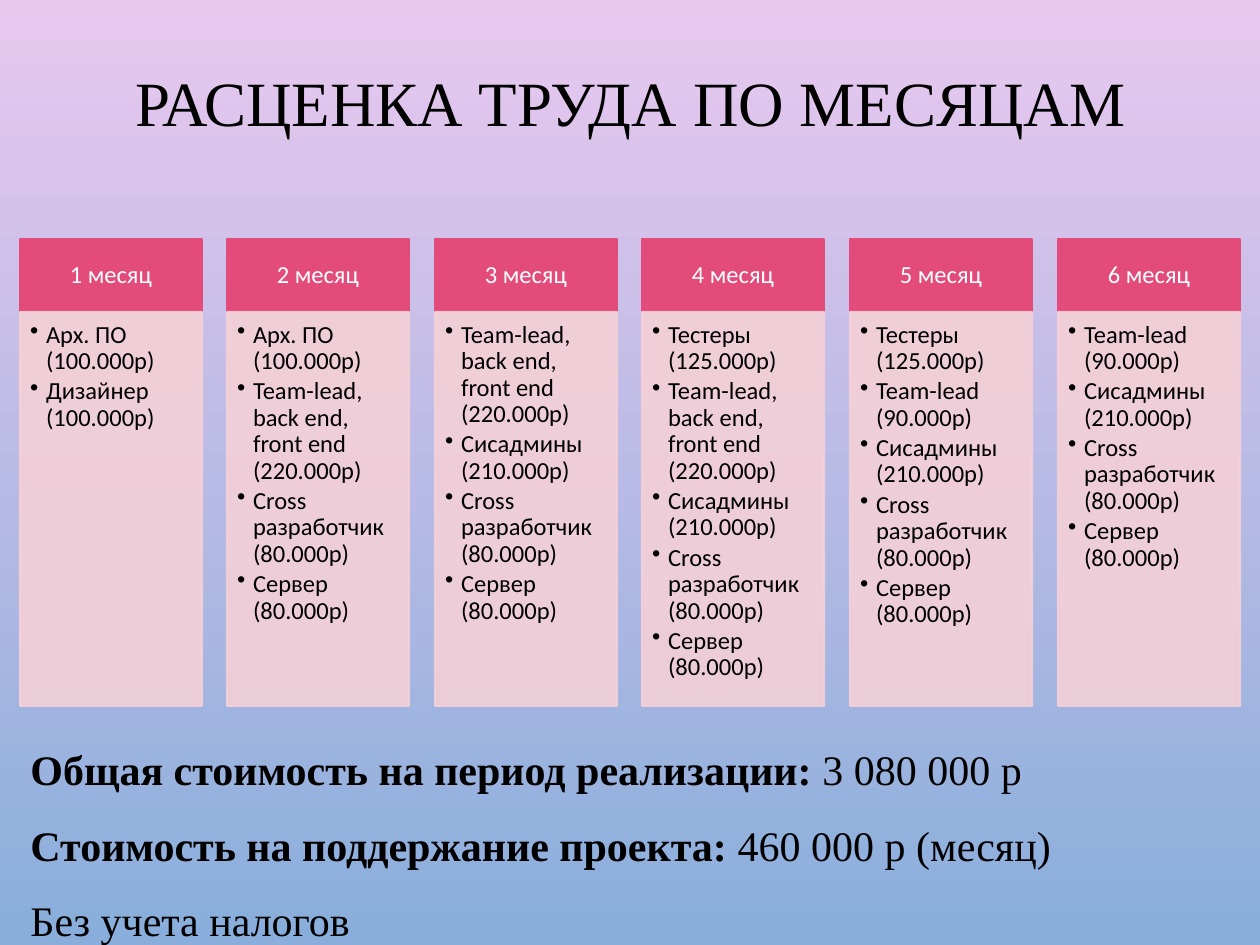
from lxml import etree
from pptx import Presentation, util as u
from pptx.dml.color import RGBColor
from pptx.enum import shapes, text
from pptx.oxml.ns import qn

PX = 7257  # EMU per px at 126 px to the inch
COLORS = {"top": "E9C8EF", "bottom": "89AEDB", "head": "E34B7A",
          "body": "F4D0D7", "white": "FFFFFF", "black": "000000"}
SERIF, SANS = "Times New Roman", "Calibri"

ARCH = "Арх. ПО (100.000р)"
DESIGN = "Дизайнер (100.000р)"
TEAM = "Team-lead, back end, front end (220.000р)"
LEAD = "Team-lead (90.000р)"
TEST = "Тестеры (125.000р)"
ADMIN = "Сисадмины (210.000р)"
CROSS = "Cross разработчик (80.000р)"
SERVER = "Сервер (80.000р)"
MONTHS = [
    [ARCH, DESIGN],
    [ARCH, TEAM, CROSS, SERVER],
    [TEAM, ADMIN, CROSS, SERVER],
    [TEST, TEAM, ADMIN, CROSS, SERVER],
    [TEST, LEAD, ADMIN, CROSS, SERVER],
    [LEAD, ADMIN, CROSS, SERVER],
]
TOTALS = [
    ("Общая стоимость на период реализации: ", "3 080 000 р"),
    ("Стоимость на поддержание проекта: ", "460 000 р (месяц)"),
    ("", "Без учета налогов"),
]


def add_run(p, words, name, size, color, bold=False):
    r = p.add_run()
    r.text = words
    for key, value in {"name": name, "size": u.Pt(size), "bold": bold}.items():
        setattr(r.font, key, value)
    r.font.color.rgb = RGBColor.from_string(COLORS[color])


def add_box(x, y, w, h, color, anchor, insets, alpha=None):
    sp = s.shapes.add_shape(shapes.MSO_SHAPE.RECTANGLE, x * PX, y * PX, w * PX, h * PX)
    sp.shadow.inherit = False
    sp.line.width = u.Pt(1.25)
    for fill in (sp.fill, sp.line.fill):
        fill.solid()
        fill.fore_color.rgb = RGBColor.from_string(COLORS[color])
    if alpha:
        for clr in sp._element.spPr.iter(qn("a:srgbClr")):
            etree.SubElement(clr, qn("a:alpha")).set("val", str(alpha * 1000))
    tf = sp.text_frame
    tf.word_wrap = True
    tf.vertical_anchor = anchor
    for side, inset in zip(("left", "top", "right", "bottom"), insets):
        setattr(tf, f"margin_{side}", inset * PX)
    return tf


prs = Presentation()
prs.slide_width, prs.slide_height = 1260 * PX, 945 * PX
s = prs.slides.add_slide(prs.slide_layouts[5])

# Background gradient, top to bottom
bg = s.background.fill
bg.gradient()
bg.gradient_angle = 270
for stop, position, key in zip(bg.gradient_stops, (0, 1), ("top", "bottom")):
    stop.position = position
    stop.color.rgb = RGBColor.from_string(COLORS[key])

# Title
title = s.shapes.title
for key, value in {"left": 95, "top": -4, "width": 1071, "height": 220}.items():
    setattr(title, key, value * PX)
title.text_frame.vertical_anchor = text.MSO_ANCHOR.MIDDLE
p = title.text_frame.paragraphs[0]
p.alignment, p.line_spacing = text.PP_ALIGN.CENTER, 0.9
add_run(p, "РАСЦЕНКА ТРУДА ПО МЕСЯЦАМ", SERIF, 36, "black")

# Month columns: heading above a bulleted list
for i, jobs in enumerate(MONTHS):
    x = 20 + i * 1038 // 5
    tf = add_box(x, 239, 182, 73, "head", text.MSO_ANCHOR.MIDDLE, (14, 8, 14, 8))
    p = tf.paragraphs[0]
    p.alignment, p.line_spacing = text.PP_ALIGN.CENTER, 0.9
    add_run(p, f"{i + 1} месяц", SANS, 14, "white")

    tf = add_box(x, 312, 182, 394, "body", text.MSO_ANCHOR.TOP, (10, 10, 14, 15), 90)
    for n, job in enumerate(jobs):
        p = tf.add_paragraph() if n else tf.paragraphs[0]
        pPr = p._p.get_or_add_pPr()
        pPr.set("marL", str(16 * PX))
        pPr.set("indent", str(-16 * PX))
        etree.SubElement(pPr, qn("a:buChar")).set("char", "•")
        p.alignment, p.line_spacing = text.PP_ALIGN.LEFT, 0.9
        p.space_after = u.Pt(2.1)
        add_run(p, job, SANS, 14, "black")

# Totals
tf = s.shapes.add_textbox(18 * PX, 712 * PX, 1344 * PX, 233 * PX).text_frame
tf.word_wrap = True
tf.auto_size = text.MSO_AUTO_SIZE.SHAPE_TO_FIT_TEXT
for n, (label, value) in enumerate(TOTALS):
    p = tf.add_paragraph() if n else tf.paragraphs[0]
    p.alignment, p.line_spacing = text.PP_ALIGN.JUSTIFY, 1.5
    if label:
        add_run(p, label, SERIF, 24, "black", True)
    add_run(p, value, SERIF, 24, "black")

prs.save("out.pptx")
